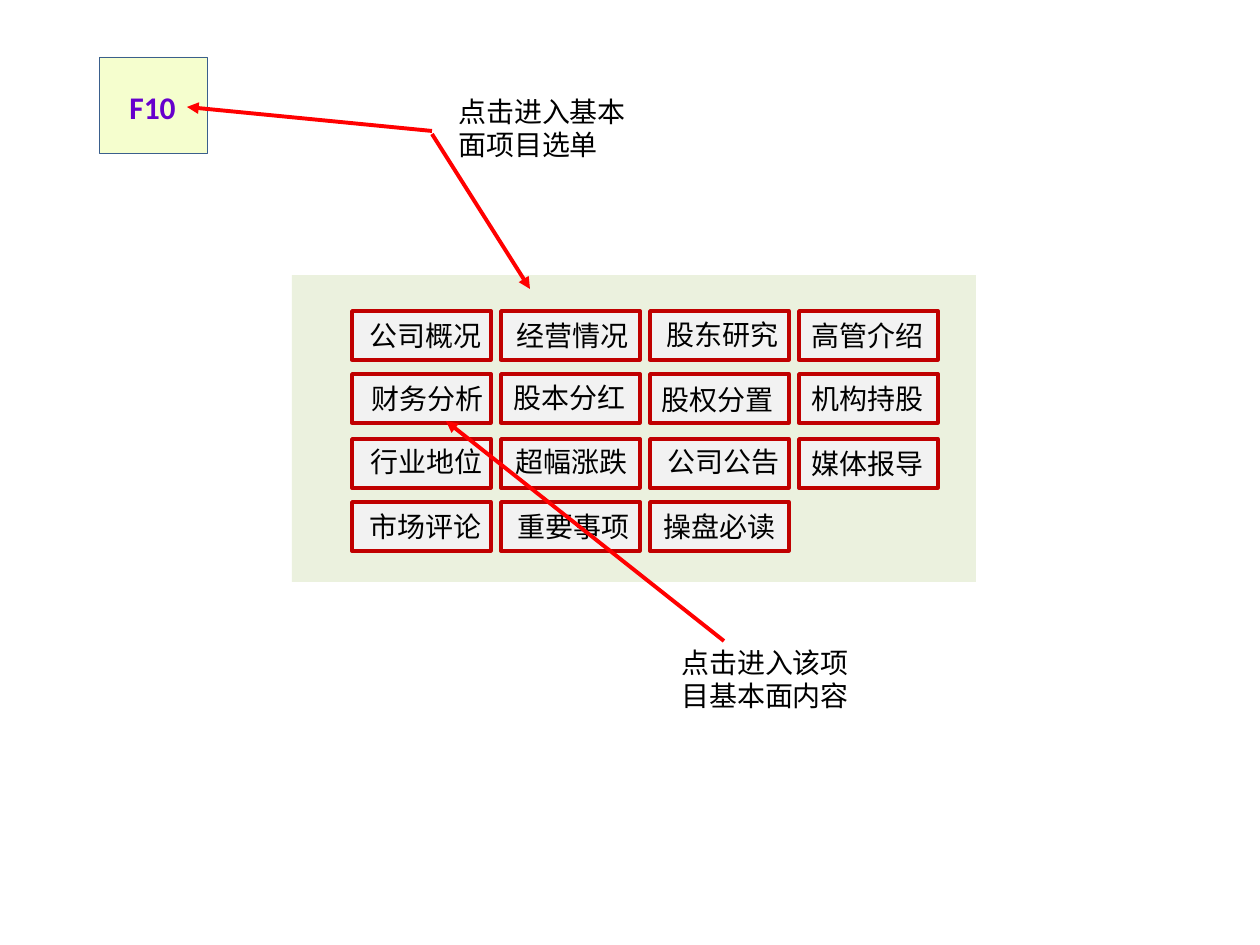
from lxml import etree
from pptx import Presentation
from pptx import util as u
from pptx.dml.color import RGBColor
from pptx.enum import shapes, text
from pptx.oxml.ns import qn

PX_PER_INCH = 126


def px(n):
    return u.Emu(round(n * u.Inches(1) / PX_PER_INCH))


def rgb(value):
    return RGBColor.from_string(value)


def write(tf, content, size=16, color="000000", bold=False, font="Calibri"):
    p = tf.paragraphs[0]
    p.alignment = text.PP_ALIGN.LEFT
    r = p.add_run()
    r.text = content
    r.font.name, r.font.size, r.font.bold = font, u.Pt(size), bold
    r.font.color.rgb = rgb(color)


class Board:
    """Style and current slide."""
    panel, key, key_line, key_text = "EBF1DE", "F5FECE", "3A5F8C", "6600CC"
    button, button_line, arrow_line = "F2F2F2", "C00000", "FF0000"

    def __init__(self, slide):
        self.s = slide

    def rect(self, x, y, w, h, fill, line=None, width=1):
        sp = self.s.shapes.add_shape(shapes.MSO_SHAPE.RECTANGLE,
                                     px(x), px(y), px(w), px(h))
        sp.shadow.inherit = False
        sp.fill.solid()
        sp.fill.fore_color.rgb = rgb(fill)
        if line:
            sp.line.color.rgb = rgb(line)
            sp.line.width = u.Pt(width)
        else:
            sp.line.fill.background()

    def label(self, x, y, w, h, content, **fmt):
        tf = self.s.shapes.add_textbox(px(x), px(y), px(w), px(h)).text_frame
        tf.word_wrap = True
        tf.auto_size = text.MSO_AUTO_SIZE.SHAPE_TO_FIT_TEXT
        write(tf, content, **fmt)

    def arrow(self, x1, y1, x2, y2):
        sp = self.s.shapes.add_connector(shapes.MSO_CONNECTOR.STRAIGHT,
                                         px(x1), px(y1), px(x2), px(y2))
        sp.line.color.rgb = rgb(self.arrow_line)
        sp.line.width = u.Pt(2.25)
        etree.SubElement(sp.line._get_or_add_ln(), qn("a:tailEnd"), type="triangle")
        etree.SubElement(sp._element.spPr, qn("a:effectLst"))


# Menu rows: top of the row, then each label with its offset from its button
MENU = [
    (311, [("公司概况", 5, 1), ("经营情况", 3, 1), ("股东研究", 4, 0), ("高管介绍", 0, 1)]),
    (374, [("财务分析", 7, 1), ("股本分红", 0, 0), ("股权分置", -1, 2), ("机构持股", 0, 1)]),
    (439, [("行业地位", 6, -1), ("超幅涨跌", 2, -1), ("公司公告", 5, -1), ("媒体报导", 0, 1)]),
    (502, [("市场评论", 5, 1), ("重要事项", 4, 1), ("操盘必读", 1, 1)]),
]
MENU_LEFT, MENU_STEP = 352, 149
BUTTON_W, BUTTON_H = 139, 49


def main():
    prs = Presentation()
    prs.slide_width, prs.slide_height = u.Inches(10), u.Inches(7.5)
    board = Board(prs.slides.add_slide(prs.slide_layouts[6]))

    # Menu panel
    board.rect(292, 275, 684, 307, board.panel)

    # F10 key
    board.rect(99, 57, 108, 96, board.key, board.key_line, 0.25)
    board.label(117, 82, 88, 50, "F10", size=18, color=board.key_text, bold=True)

    # Menu buttons
    for top, items in MENU:
        for col, (name, dx, dy) in enumerate(items):
            left = MENU_LEFT + col * MENU_STEP
            board.rect(left, top, BUTTON_W, BUTTON_H,
                       board.button, board.button_line, 2)
            board.label(left + dx, top + dy, BUTTON_W, 47, name)

    # Callouts and their arrows
    board.label(446, 88, 194, 81, "点击进入基本面项目选单")
    board.arrow(432, 131, 187, 107)
    board.arrow(432, 134, 530, 289)
    board.arrow(724, 641, 446, 421)
    board.label(669, 639, 209, 81, "点击进入该项目基本面内容")

    prs.save("out.pptx")


if __name__ == "__main__":
    main()
